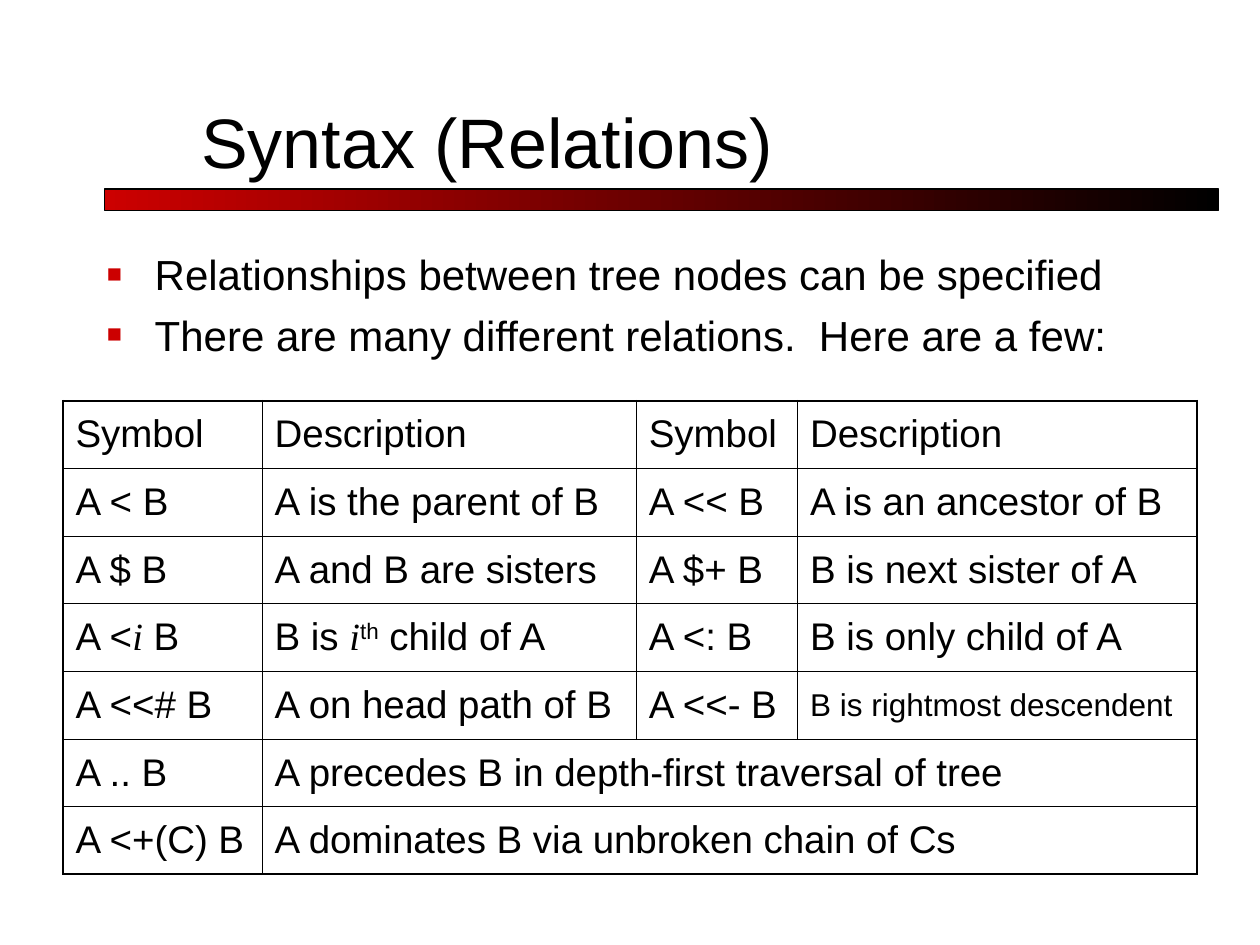
import pptx
import pptx.dml.color
import pptx.enum.dml
import pptx.enum.shapes
import pptx.enum.text
import pptx.oxml
import pptx.oxml.ns
import pptx.util
from pptx.util import Inches

COLORS = {"text": "000000", "accent": "CC0000", "border": "000000"}
ANCHOR = pptx.enum.text.MSO_ANCHOR
PLAIN = {"name": "Arial", "italic": False}
VARIABLE = {"name": "Times New Roman", "italic": True}
THIN, THICK = 0.45, 1.08

BULLETS = [
    "Relationships between tree nodes can be specified",
    "There are many different relations.  Here are a few:",
]
COLUMN_WIDTHS = [1.58, 2.97, 1.28, 3.17]
ROW_HEIGHT = 3.76 / 7

# A cell is a string, or a list of (text, format, baseline) runs.
# A row of two cells lets its second cell span the remaining columns.
RELATIONS = [
    ["Symbol", "Description", "Symbol", "Description"],
    ["A < B", "A is the parent of B", "A << B", "A is an ancestor of B"],
    ["A $ B", "A and B are sisters", "A $+ B", "B is next sister of A"],
    [[("A <", PLAIN, 0), ("i", VARIABLE, 0), (" B", PLAIN, 0)],
     [("B is ", PLAIN, 0), ("i", VARIABLE, 0), ("th", PLAIN, 30), (" child of A", PLAIN, 0)],
     "A <: B", "B is only child of A"],
    ["A <<# B", "A on head path of B", "A <<- B", "B is rightmost descendent"],
    ["A .. B", "A precedes B in depth-first traversal of tree"],
    ["A <+(C) B", "A dominates B via unbroken chain of Cs"],
]
SMALL_CELL = (4, 3)


def rgb(name):
    return pptx.dml.color.RGBColor.from_string(COLORS[name])


def add_run(paragraph, text, size, style=PLAIN, baseline=0):
    run = paragraph.add_run()
    run.text = text
    for attribute, value in {**style, "size": pptx.util.Pt(size)}.items():
        setattr(run.font, attribute, value)
    run.font.color.rgb = rgb("text")
    if baseline:
        run._r.get_or_add_rPr().set("baseline", str(baseline * 1000))


def add_text_box(slide, left, top, width, height, anchor):
    box = slide.shapes.add_textbox(Inches(left), Inches(top), Inches(width), Inches(height))
    box.text_frame.word_wrap = True
    box.text_frame.vertical_anchor = anchor
    return box.text_frame


def add_gradient_bar(slide, left, top, width, height):
    bar = slide.shapes.add_shape(
        pptx.enum.shapes.MSO_SHAPE.RECTANGLE,
        Inches(left), Inches(top), Inches(width), Inches(height))
    bar.shadow.inherit = False
    bar.fill.gradient()
    bar.fill.gradient_angle = 180
    for stop, position, name in zip(bar.fill.gradient_stops, (0, 1), ("text", "accent")):
        stop.position = position
        stop.color.rgb = rgb(name)
    bar.line.color.rgb = rgb("border")
    bar.line.width = pptx.util.Pt(0.75)


def add_bullets(text_frame, items, size):
    namespace = pptx.oxml.ns.nsdecls("a")
    for index, item in enumerate(items):
        paragraph = text_frame.add_paragraph() if index else text_frame.paragraphs[0]
        paragraph.space_before = pptx.util.Pt(6)
        properties = paragraph._p.get_or_add_pPr()
        properties.set("marL", str(Inches(0.38)))
        properties.set("indent", str(Inches(-0.38)))
        for xml in (
            f'<a:buClr {namespace}><a:srgbClr val="{COLORS["accent"]}"/></a:buClr>',
            f'<a:buSzPct {namespace} val="60000"/>',
            f'<a:buFont {namespace} typeface="Arial"/>',
            f'<a:buChar {namespace} char="■"/>',
        ):
            properties.append(pptx.oxml.parse_xml(xml))
        add_run(paragraph, item, size)


def set_borders(cell, widths):
    properties = cell._tc.get_or_add_tcPr()
    for side, width in widths.items():
        properties.append(pptx.oxml.parse_xml(
            f'<a:ln{side} {pptx.oxml.ns.nsdecls("a")} w="{pptx.util.Pt(width)}">'
            f'<a:solidFill><a:srgbClr val="{COLORS["border"]}"/></a:solidFill></a:ln{side}>'))


def fill_cell(cell, content, size):
    cell.vertical_anchor = ANCHOR.MIDDLE
    paragraph = cell.text_frame.paragraphs[0]
    paragraph.space_before = pptx.util.Pt(size / 4)
    runs = [(content, PLAIN, 0)] if isinstance(content, str) else content
    for text, style, baseline in runs:
        add_run(paragraph, text, size, style, baseline)


def add_relation_table(slide, left, top):
    row_count, column_count = len(RELATIONS), len(COLUMN_WIDTHS)
    table = slide.shapes.add_table(
        row_count, column_count, Inches(left), Inches(top),
        Inches(sum(COLUMN_WIDTHS)), Inches(ROW_HEIGHT * row_count)).table
    table.first_row = table.horz_banding = False
    for column, width in zip(table.columns, COLUMN_WIDTHS):
        column.width = Inches(width)

    for row, contents in enumerate(RELATIONS):
        if len(contents) < column_count:
            table.cell(row, len(contents) - 1).merge(table.cell(row, column_count - 1))
        for column, content in enumerate(contents):
            cell = table.cell(row, column)
            fill_cell(cell, content, 18 if (row, column) == SMALL_CELL else 22)
            # The outer frame is thicker than the inner grid
            outer = {"L": column == 0, "R": column == len(contents) - 1,
                     "T": row == 0, "B": row == row_count - 1}
            set_borders(cell, {side: THICK if edge else THIN for side, edge in outer.items()})
        for column in range(column_count):
            table.cell(row, column).fill.background()


def main():
    presentation = pptx.Presentation()
    presentation.slide_width, presentation.slide_height = Inches(10), Inches(7.5)
    slide = presentation.slides.add_slide(presentation.slide_layouts[6])

    # Title with its rule
    add_gradient_bar(slide, 0.83, 1.5, 8.84, 0.17)
    title = add_text_box(slide, 1.5, 0.42, 8.5, 1.08, ANCHOR.BOTTOM)
    add_run(title.paragraphs[0], "Syntax (Relations)", 40)

    # Introduction
    body = add_text_box(slide, 0.75, 1.92, 8.53, 1.18, ANCHOR.TOP)
    add_bullets(body, BULLETS, 24)

    # Relations
    add_relation_table(slide, 0.5, 3.18)
    presentation.save("out.pptx")


if __name__ == "__main__":
    main()
